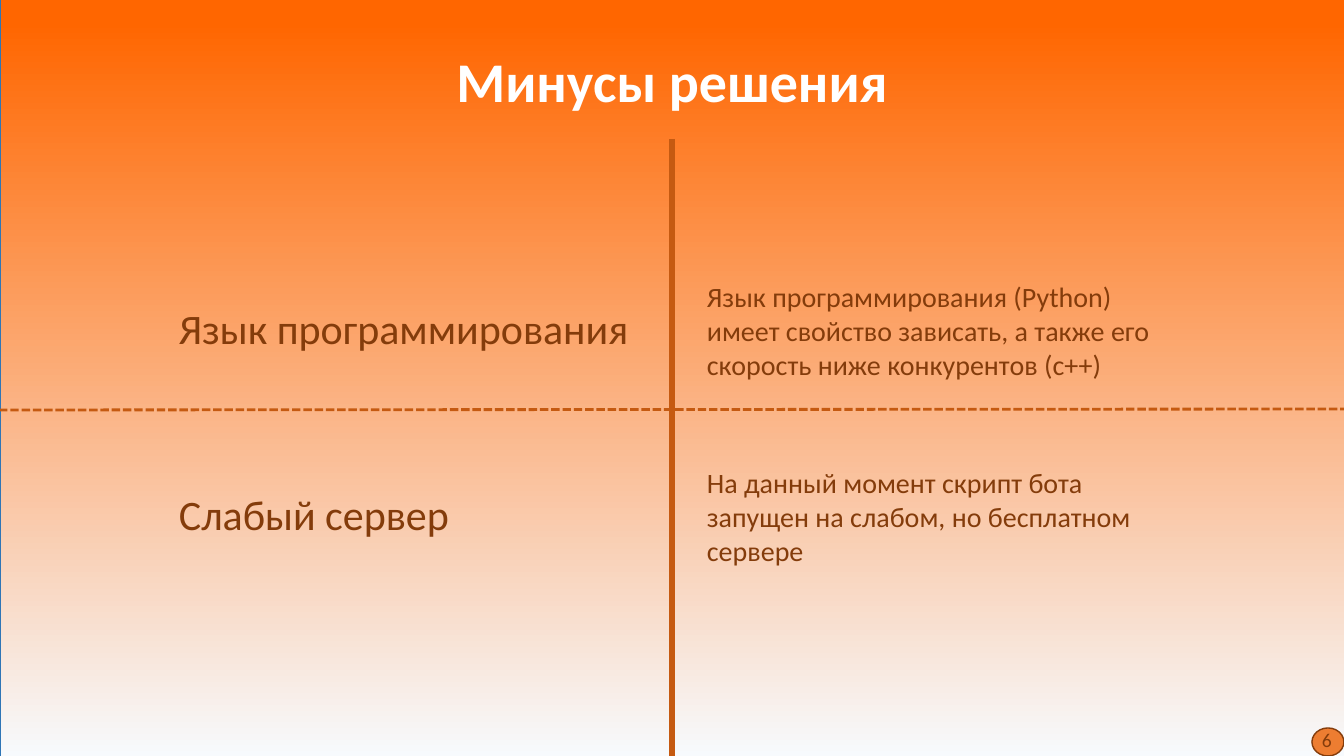
from dataclasses import dataclass

from pptx import Presentation
from pptx.dml.color import RGBColor
from pptx.enum.dml import MSO_LINE
from pptx.enum.shapes import MSO_CONNECTOR, MSO_SHAPE
from pptx.enum.text import MSO_ANCHOR, PP_ALIGN
from pptx.oxml.ns import qn
from pptx.util import Emu, Pt

# Content
HEADING = "Минусы решения"
DRAWBACKS = [
    ("Язык программирования",
     "Язык программирования (Python) имеет свойство зависать, "
     "а также его скорость ниже конкурентов (c++)"),
    ("Слабый сервер",
     "На данный момент скрипт бота запущен на слабом, но бесплатном сервере"),
]
PAGE_NUMBER = "6"


@dataclass(frozen=True)
class Theme:
    font: str = "Calibri"
    top: str = "FF6600"
    bottom: str = "F7FAFD"
    border: str = "2E75B6"
    badge: str = "ED7D31"
    rule: str = "C55A11"
    text: str = "843C0B"
    heading: str = "FFFFFF"
    heading_size: int = 40
    drawback_size: int = 30
    detail_size: int = 20
    number_size: int = 14


THEME = Theme()

# Layout in px
PX = 914400 / 100.8
WIDTH, HEIGHT = 1344, 756
MIDDLE = WIDTH // 2
DRAWBACK_LEFT, DETAIL_LEFT = 169, 697
DRAWBACK_WIDTH, DETAIL_WIDTH = 479, 503
FIRST_ROW, ROW_PITCH, DETAIL_RISE = 298, 186, 23


def px(*lengths):
    return [Emu(round(length * PX)) for length in lengths]


def rgb(color):
    return RGBColor.from_string(color)


def write(frame, words, size, color, bold=False, align=PP_ALIGN.LEFT):
    frame.text = words
    frame.word_wrap = True
    frame.vertical_anchor = MSO_ANCHOR.TOP
    paragraph = frame.paragraphs[0]
    paragraph.alignment = align
    font = paragraph.runs[0].font
    font.name, font.size, font.bold = THEME.font, Pt(size), bold
    font.color.rgb = rgb(color)


def add_text(slide, box, words, size):
    write(slide.shapes.add_textbox(*px(*box)).text_frame, words, size, THEME.text)


def add_outlined(slide, kind, box, border):
    shape = slide.shapes.add_shape(kind, *px(*box))
    shape.shadow.inherit = False
    shape.line.color.rgb = rgb(border)
    shape.line.width = Pt(1)
    return shape


def add_rule(slide, ends, width):
    rule = slide.shapes.add_connector(MSO_CONNECTOR.STRAIGHT, *px(*ends))
    rule.line.color.rgb = rgb(THEME.rule)
    rule.line.width = Pt(width)
    properties = rule._element.spPr
    properties.append(properties.makeelement(qn("a:effectLst"), {}))
    return rule


def main():
    deck = Presentation()
    deck.slide_width, deck.slide_height = px(WIDTH, HEIGHT)
    slide = deck.slides.add_slide(deck.slide_layouts[5])
    title = slide.shapes.title

    # Gradient backdrop
    backdrop = add_outlined(slide, MSO_SHAPE.RECTANGLE,
                            (0, -1, WIDTH + 2, HEIGHT + 2), THEME.border)
    backdrop.fill.gradient()
    backdrop.fill.gradient_angle = 270
    stops = ((0.03, THEME.top), (1, THEME.bottom))
    for stop, (position, color) in zip(backdrop.fill.gradient_stops, stops):
        stop.position = position
        stop.color.rgb = rgb(color)
    title._element.addprevious(backdrop._element)

    # Title
    title.left, title.top, title.width, title.height = px(0, 41, WIDTH, 100)
    write(title.text_frame, HEADING, THEME.heading_size, THEME.heading,
          bold=True, align=PP_ALIGN.CENTER)

    # Dividing lines
    add_rule(slide, (MIDDLE, 139, MIDDLE, HEIGHT + 1), 4)
    row_rule = add_rule(slide, (-1, 410, WIDTH, 409), 2)
    row_rule.line.dash_style = MSO_LINE.SQUARE_DOT

    # Drawbacks and their details
    for row, (drawback, detail) in enumerate(DRAWBACKS):
        top = FIRST_ROW + row * ROW_PITCH
        add_text(slide, (DRAWBACK_LEFT, top, DRAWBACK_WIDTH, 60),
                 drawback, THEME.drawback_size)
        add_text(slide, (DETAIL_LEFT, top - DETAIL_RISE, DETAIL_WIDTH, 75),
                 detail, THEME.detail_size)

    # Page number
    badge = add_outlined(slide, MSO_SHAPE.OVAL, (1312, 728, 32, 28), THEME.text)
    badge.fill.solid()
    badge.fill.fore_color.rgb = rgb(THEME.badge)
    add_text(slide, (1312, 723, 35, 34), PAGE_NUMBER, THEME.number_size)

    deck.save("out.pptx")


if __name__ == "__main__":
    main()
